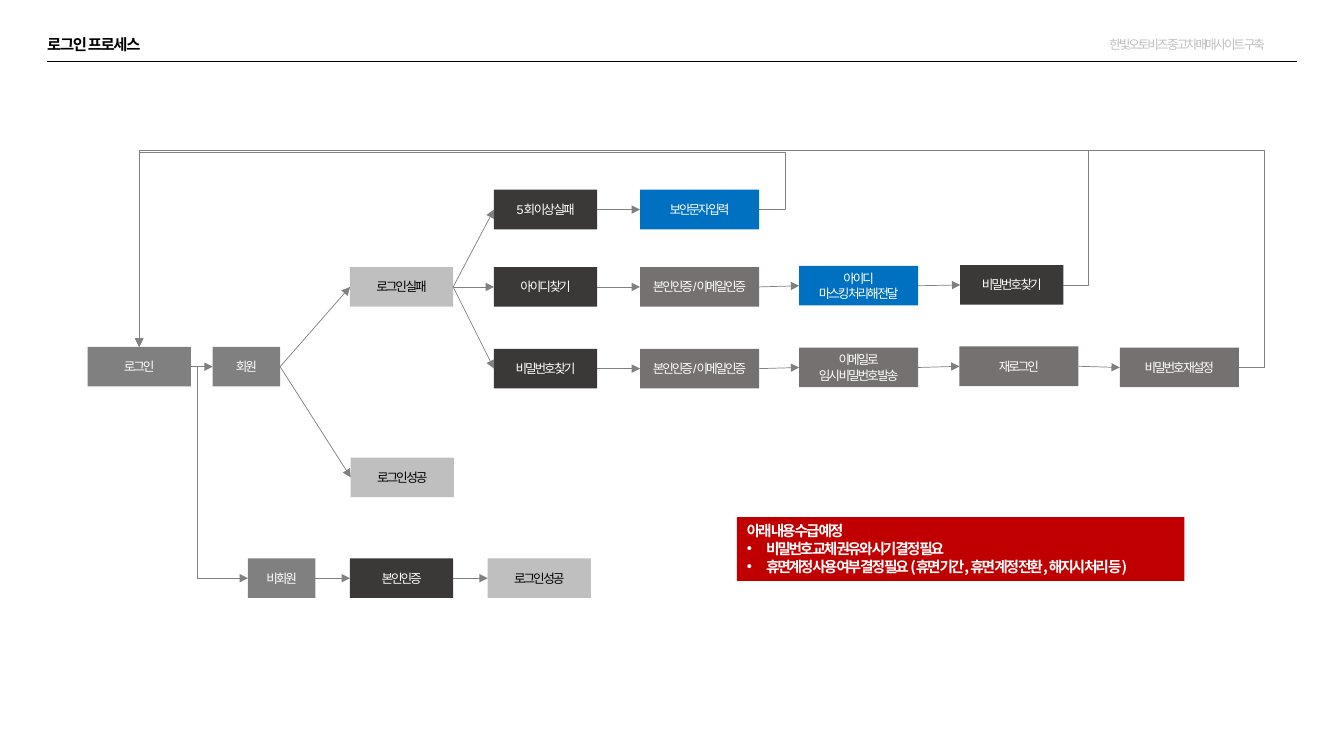
from lxml.etree import SubElement
from pptx import Presentation
from pptx.dml.color import RGBColor
from pptx.enum.shapes import MSO_CONNECTOR, MSO_SHAPE
from pptx.enum.text import MSO_ANCHOR, MSO_AUTO_SIZE, PP_ALIGN
from pptx.oxml.ns import qn
from pptx.util import Cm, Pt

COLORS = {
    "black": "000000", "white": "FFFFFF", "line": "808080",
    "start": "808080", "result": "BFBFBF", "action": "3B3838",
    "step": "767171", "key": "0070C0", "notice": "C00000",
}
NARROW, MEDIUM, WIDE, BOX_HEIGHT = 1.7, 2.6, 3.0, 1.0
TOP, LEFT, RIGHT = 0, 1, 3  # connection sites of a rectangle

# key: (text, colour, left, top, width)
BOXES = {
    "login": ("로그인", "start", 2.21, 8.74, MEDIUM),
    "member": ("회원", "start", 5.36, 8.74, NARROW),
    "guest": ("비회원", "start", 6.25, 14.07, NARROW),
    "failure": ("로그인 실패", "result", 8.82, 6.73, MEDIUM),
    "success": ("로그인 성공", "result", 8.84, 11.53, MEDIUM),
    "guest check": ("본인인증", "action", 8.82, 14.07, MEDIUM),
    "guest success": ("로그인 성공", "result", 12.29, 14.07, MEDIUM),
    "five failures": ("5회 이상 실패", "action", 12.45, 4.78, MEDIUM),
    "find id": ("아이디 찾기", "action", 12.45, 6.73, MEDIUM),
    "find password": ("비밀번호 찾기", "action", 12.45, 8.79, MEDIUM),
    "captcha": ("보안문자 입력", "key", 16.13, 4.78, WIDE),
    "id check": ("본인인증/이메일인증", "step", 16.13, 6.73, WIDE),
    "password check": ("본인인증/이메일인증", "step", 16.13, 8.79, WIDE),
    "masked id": ("아이디\n마스킹 처리해 전달", "key", 20.14, 6.7, WIDE),
    "mail": ("이메일로\n임시 비밀번호 발송", "step", 20.14, 8.76, WIDE),
    "next find": ("비밀번호 찾기", "action", 24.2, 6.68, MEDIUM),
    "login again": ("재로그인", "step", 24.18, 8.73, WIDE),
    "reset": ("비밀번호 재설정", "step", 28.22, 8.76, WIDE),
}
FLOWS = [
    ("login", "member", "failure", "five failures", "captcha"),
    ("failure", "find id", "id check", "masked id", "next find"),
    ("failure", "find password", "password check", "mail", "login again", "reset"),
    ("member", "success"),
    ("guest", "guest check", "guest success"),
]
# (box, x of the riser, y of the run back to the login box)
RETURNS = [("captcha", 19.79, 3.84), ("next find", 27.43, 3.78), ("reset", 31.85, 3.78)]
NOTICE = [
    "아래 내용 수급 예정",
    "비밀번호 교체 권유와 시기 결정 필요",
    "휴면계정 사용 여부 결정 필요 (휴면 기간, 휴면 계정 전환, 해지시 처리 등)",
]


def rgb(name):
    return RGBColor.from_string(COLORS[name])


def place(shape, left, top, width, height):
    shape.left, shape.top = Cm(left), Cm(top)
    shape.width, shape.height = Cm(width), Cm(height)


def format_text(frame, size, color, align, spacing=-1.5, face="Arial", bold=False):
    """Format every paragraph; spacing is the gap between letters in points."""
    for paragraph in frame.paragraphs:
        paragraph.alignment = align
        paragraph.space_before = Pt(0)
        font = paragraph.font
        font.name, font.size, font.bold = face, Pt(size), bold
        font.color.rgb = rgb(color)
        for run in paragraph.runs:
            run.font._element.set("spc", str(round(spacing * 100)))


def set_insets(frame, horizontal, vertical):
    frame.margin_left = frame.margin_right = Cm(horizontal)
    frame.margin_top = frame.margin_bottom = Cm(vertical)


def style_line(connector, color, width):
    connector.line.color.rgb = rgb(color)
    connector.line.width = Pt(width)
    SubElement(connector._element.spPr, qn("a:effectLst"))


def add_header(slide):
    title = slide.shapes.title
    place(title, 1.19, 0.94, 10.29, 0.43)
    frame = title.text_frame
    frame.text = "로그인 프로세스"
    frame.auto_size = MSO_AUTO_SIZE.NONE
    frame.vertical_anchor = MSO_ANCHOR.TOP
    set_insets(frame, 0, 0)
    format_text(frame, 11, "black", PP_ALIGN.LEFT, spacing=-1, bold=True)
    frame.paragraphs[0].line_spacing = 0.9

    project = slide.shapes.add_textbox(Cm(27.71), Cm(0.81), Cm(4.9), Cm(0.64))
    project.text_frame.text = "한빛오토비즈 중고차매매사이트 구축"
    format_text(project.text_frame, 9, "result", PP_ALIGN.LEFT)

    rule = slide.shapes.add_connector(
        MSO_CONNECTOR.STRAIGHT, Cm(1.19), Cm(1.55), Cm(32.69), Cm(1.55))
    style_line(rule, "black", 0.25)


def add_notice(slide):
    notice = slide.placeholders[1]
    place(notice, 18.57, 13.03, 11.28, 1.61)
    notice.fill.solid()
    notice.fill.fore_color.rgb = rgb("notice")
    frame = notice.text_frame
    frame.text = "\n".join(NOTICE)
    frame.word_wrap = False
    frame.auto_size = MSO_AUTO_SIZE.NONE
    frame.vertical_anchor = MSO_ANCHOR.TOP
    format_text(frame, 10.5, "white", PP_ALIGN.LEFT, face="Noto Sans CJK KR", bold=True)
    for index, paragraph in enumerate(frame.paragraphs):
        properties = paragraph._p.get_or_add_pPr()
        indent = Cm(0.48) if index else 0
        properties.set("marL", str(indent))
        properties.set("indent", str(-indent))
        bullet = properties.makeelement(qn("a:buChar" if index else "a:buNone"))
        if index:
            bullet.set("char", "•")
        properties.find(qn("a:defRPr")).addprevious(bullet)


def add_box(slide, text, color, left, top, width):
    box = slide.shapes.add_shape(
        MSO_SHAPE.RECTANGLE, Cm(left), Cm(top), Cm(width), Cm(BOX_HEIGHT))
    box.shadow.inherit = False
    box.fill.solid()
    box.fill.fore_color.rgb = rgb(color)
    box.line.fill.background()
    frame = box.text_frame
    frame.text = text
    frame.word_wrap = True
    frame.vertical_anchor = MSO_ANCHOR.MIDDLE
    set_insets(frame, 0, 0.1)
    format_text(frame, 9, "black" if color == "result" else "white", PP_ALIGN.CENTER)
    return box


def add_arrow(slide, source, target, side=LEFT, turn_x=None, turn_y=None):
    """Join two boxes, straight or bent at the given x and y."""
    kind = MSO_CONNECTOR.STRAIGHT if turn_x is None else MSO_CONNECTOR.ELBOW
    arrow = slide.shapes.add_connector(kind, 0, 0, 0, 0)
    arrow.begin_connect(source, RIGHT)
    arrow.end_connect(target, side)
    style_line(arrow, "line", 0.5)
    SubElement(arrow.line._get_or_add_ln(), qn("a:tailEnd"), type="triangle")
    if turn_x is None:
        return
    bends = [(Cm(turn_x) - arrow.begin_x) / (arrow.end_x - arrow.begin_x)]
    if turn_y is not None:
        bends.append((Cm(turn_y) - arrow.begin_y) / (arrow.end_y - arrow.begin_y))
    geometry = arrow._element.spPr.find(qn("a:prstGeom"))
    geometry.set("prst", f"bentConnector{len(bends) + 2}")
    guides = geometry.find(qn("a:avLst"))
    if guides is None:
        guides = SubElement(geometry, qn("a:avLst"))
    for number, bend in enumerate(bends, 1):
        SubElement(guides, qn("a:gd"), name=f"adj{number}", fmla=f"val {round(bend * 100000)}")


def main():
    deck = Presentation()
    deck.slide_width, deck.slide_height = Cm(33.87), Cm(19.05)
    slide = deck.slides.add_slide(deck.slide_layouts[1])
    add_header(slide)
    add_notice(slide)
    boxes = {key: add_box(slide, *details) for key, details in BOXES.items()}
    for flow in FLOWS:
        for source, target in zip(flow, flow[1:]):
            add_arrow(slide, boxes[source], boxes[target])
    add_arrow(slide, boxes["login"], boxes["guest"], turn_x=4.98)
    for source, riser_x, run_y in RETURNS:
        add_arrow(slide, boxes[source], boxes["login"], TOP, riser_x, run_y)
    deck.save("out.pptx")


if __name__ == "__main__":
    main()
